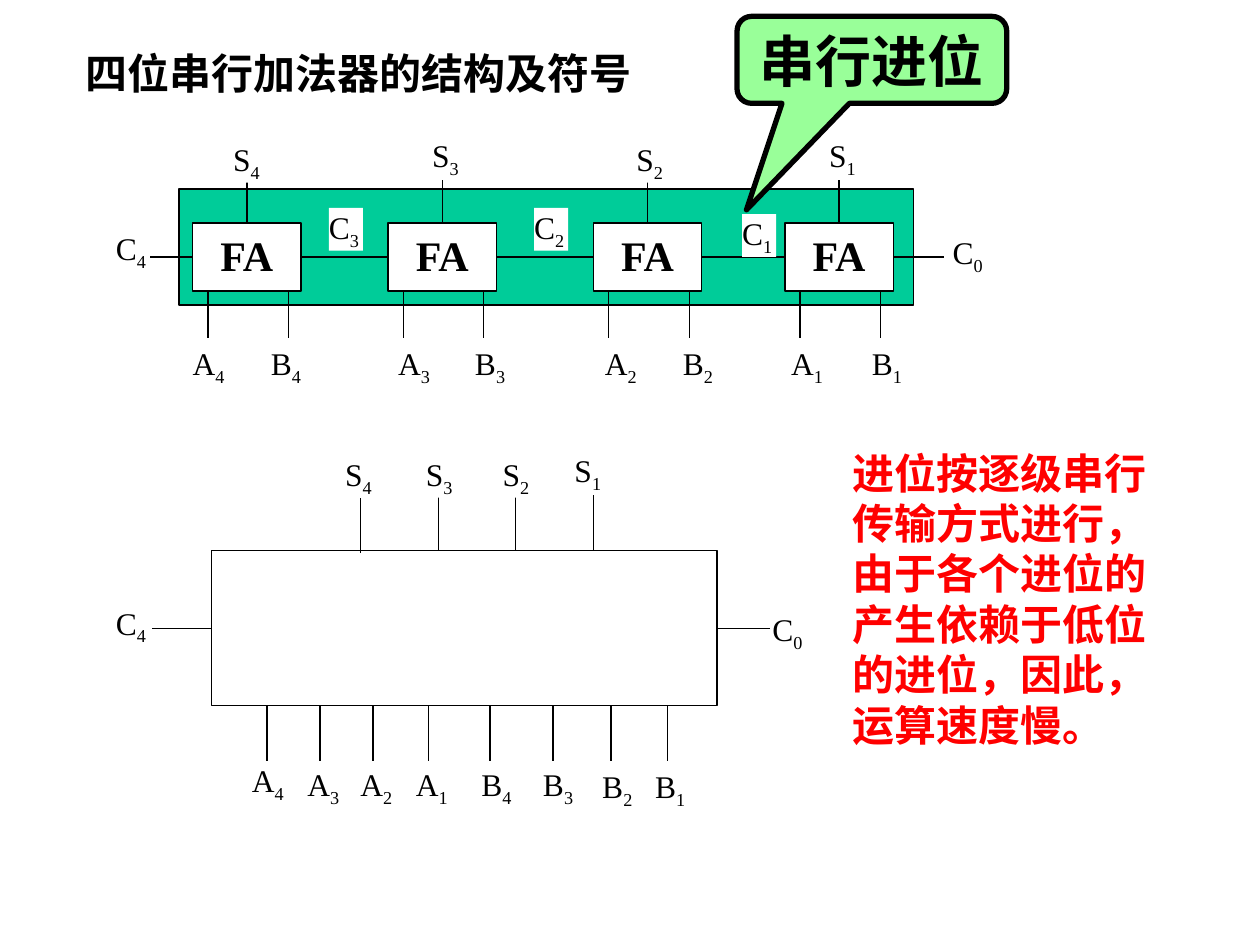
import lxml.etree
import pptx
import pptx.dml.color
import pptx.enum.shapes
import pptx.enum.text
import pptx.oxml.ns
import pptx.util

COLORS = {"ink": "000000", "paper": "FFFFFF", "adder": "00CC99", "callout": "99FF99", "note": "FF0000"}
FONT = "Times New Roman"
SHAPES = pptx.enum.shapes.MSO_SHAPE
ALIGN = pptx.enum.text.PP_ALIGN
ANCHOR = pptx.enum.text.MSO_ANCHOR

deck = pptx.Presentation()
deck.slide_width = pptx.util.Inches(10)
deck.slide_height = pptx.util.Inches(7.5)
slide = deck.slides.add_slide(deck.slide_layouts[6])

# Grid of 100 columns by 75 rows
COL = deck.slide_width / 100
ROW = deck.slide_height / 75


def add_box(left, top, width, height, text="", subscript="", size=18, bold=False, color="ink",
            fill=None, border=0, align=ALIGN.LEFT, margins=(1, 0.5), preset=SHAPES.RECTANGLE):
    """Add a box, placed in columns and rows, with an optional subscript after its text."""
    place = [round(left * COL), round(top * ROW), round(width * COL), round(height * ROW)]
    if fill:
        box = slide.shapes.add_shape(preset, *place)
        box.shadow.inherit = False
        box.fill.solid()
        box.fill.fore_color.rgb = pptx.dml.color.RGBColor.from_string(COLORS[fill])
        if border:
            box.line.color.rgb = pptx.dml.color.RGBColor.from_string(COLORS["ink"])
            box.line.width = pptx.util.Pt(border)
        else:
            box.line.fill.background()
    else:
        box = slide.shapes.add_textbox(*place)
    if text:
        frame = box.text_frame
        frame.word_wrap = True
        frame.vertical_anchor = ANCHOR.TOP
        frame.margin_left = frame.margin_right = round(margins[0] * COL)
        frame.margin_top = frame.margin_bottom = round(margins[1] * ROW)
        paragraph = frame.paragraphs[0]
        paragraph.alignment = align
        paragraph.font.name = FONT
        paragraph.font.size = pptx.util.Pt(size)
        paragraph.font.bold = bold
        paragraph.font.color.rgb = pptx.dml.color.RGBColor.from_string(COLORS[color])
        paragraph.add_run().text = text
        if subscript:
            index = paragraph.add_run()
            index.text = subscript
            index.font._element.set("baseline", "-25000")
    return box


def add_wire(x1, y1, x2, y2):
    wire = slide.shapes.add_connector(pptx.enum.shapes.MSO_CONNECTOR.STRAIGHT, round(x1 * COL),
                                      round(y1 * ROW), round(x2 * COL), round(y2 * ROW))
    wire.line.color.rgb = pptx.dml.color.RGBColor.from_string(COLORS["ink"])
    wire.line.width = pptx.util.Pt(0.75)
    lxml.etree.SubElement(wire._element.spPr, pptx.oxml.ns.qn("a:effectLst"))
    return wire


# Four chained full adders
add_box(14.2, 15, 58.3, 9.2, fill="adder", border=0.75)
add_box(5.8, 3.3, 70.8, 5, "四位串行加法器的结构及符号", size=24, bold=True)
add_wire(11.9, 20.4, 74.9, 20.4)

FA_TOP, FA_WIDTH, FA_HEIGHT = 17.7, 8.6, 5.4
FA_BOTTOM = FA_TOP + FA_HEIGHT
# bit: left edge of its adder
adders = {"4": 15.3, "3": 30.8, "2": 47.1, "1": 62.3}
for bit, left in adders.items():
    adder = add_box(left, FA_TOP, FA_WIDTH, FA_HEIGHT, "FA", size=24, bold=True,
                    fill="paper", border=0.75, align=ALIGN.CENTER)
    middle = left + FA_WIDTH / 2
    add_wire(middle, FA_TOP, middle, 14.3).begin_connect(adder, 0)
    for input_x in (left + 1.2, left + 7.6):
        add_wire(input_x, FA_BOTTOM, input_x, 26.8)

# The four-bit adder as one symbol
SYMBOL_TOP, SYMBOL_BOTTOM = 43.7, 56
add_wire(12.1, 49.9, 61.1, 49.9)
add_box(16.8, SYMBOL_TOP, 40.1, SYMBOL_BOTTOM - SYMBOL_TOP, fill="paper", border=0.75)
add_wire(28.6, 43.9, 28.6, 39.5)
for sum_x in (34.8, 40.9, 47.1):
    add_wire(sum_x, SYMBOL_TOP, sum_x, 39.3)
for input_x in (21.2, 25.4, 29.6, 34, 38.9, 43.9, 48.5, 53):
    add_wire(input_x, SYMBOL_BOTTOM, input_x, 60.4)

# Signal name, left, top
signals = [
    ("S4", 18.5, 11.1), ("S3", 34.3, 10.8), ("S2", 50.5, 11.1), ("S1", 65.8, 10.8),
    ("C4", 9.2, 18.2), ("C3", 26.1, 16.5), ("C2", 42.4, 16.5), ("C1", 58.9, 17), ("C0", 75.6, 18.5),
    ("A4", 15.3, 27.3), ("B4", 21.5, 27.3), ("A3", 31.6, 27.3), ("B3", 37.7, 27.3),
    ("A2", 48, 27.3), ("B2", 54.2, 27.3), ("A1", 62.8, 27.3), ("B1", 69.2, 27.3),
    ("S4", 27.4, 36.1), ("S3", 33.8, 36.1), ("S2", 39.9, 36.1), ("S1", 45.6, 35.8),
    ("C4", 9.2, 47.9), ("C0", 61.3, 48.4),
    ("A4", 20, 60.4), ("A3", 24.4, 60.7), ("A2", 28.6, 60.7), ("A1", 33, 60.7),
    ("B4", 38.2, 60.7), ("B3", 43.1, 60.7), ("B2", 47.8, 60.9), ("B1", 52, 60.9),
]
for (letter, bit), left, top in signals:
    add_box(left, top, 3.9 if bit == "0" else 2.7, 3.4, letter, bit,
            fill="paper", align=ALIGN.JUSTIFY, margins=(0, 0))

add_box(66.7, 35, 28.3, 25, "进位按逐级串行传输方式进行，由于各个进位的产生依赖于低位的进位，因此，运算速度慢。",
        size=24, bold=True, color="note")

callout = add_box(58.5, 1.3, 21.4, 6.9, "串行进位", size=32, bold=True, fill="callout", border=3,
                  align=ALIGN.CENTER, preset=SHAPES.ROUNDED_RECTANGULAR_CALLOUT)
callout.text_frame.word_wrap = False
callout.text_frame.vertical_anchor = ANCHOR.MIDDLE
for index, share in enumerate((-0.465, 1.725, 0.167)):
    callout.adjustments[index] = share

deck.save("out.pptx")
